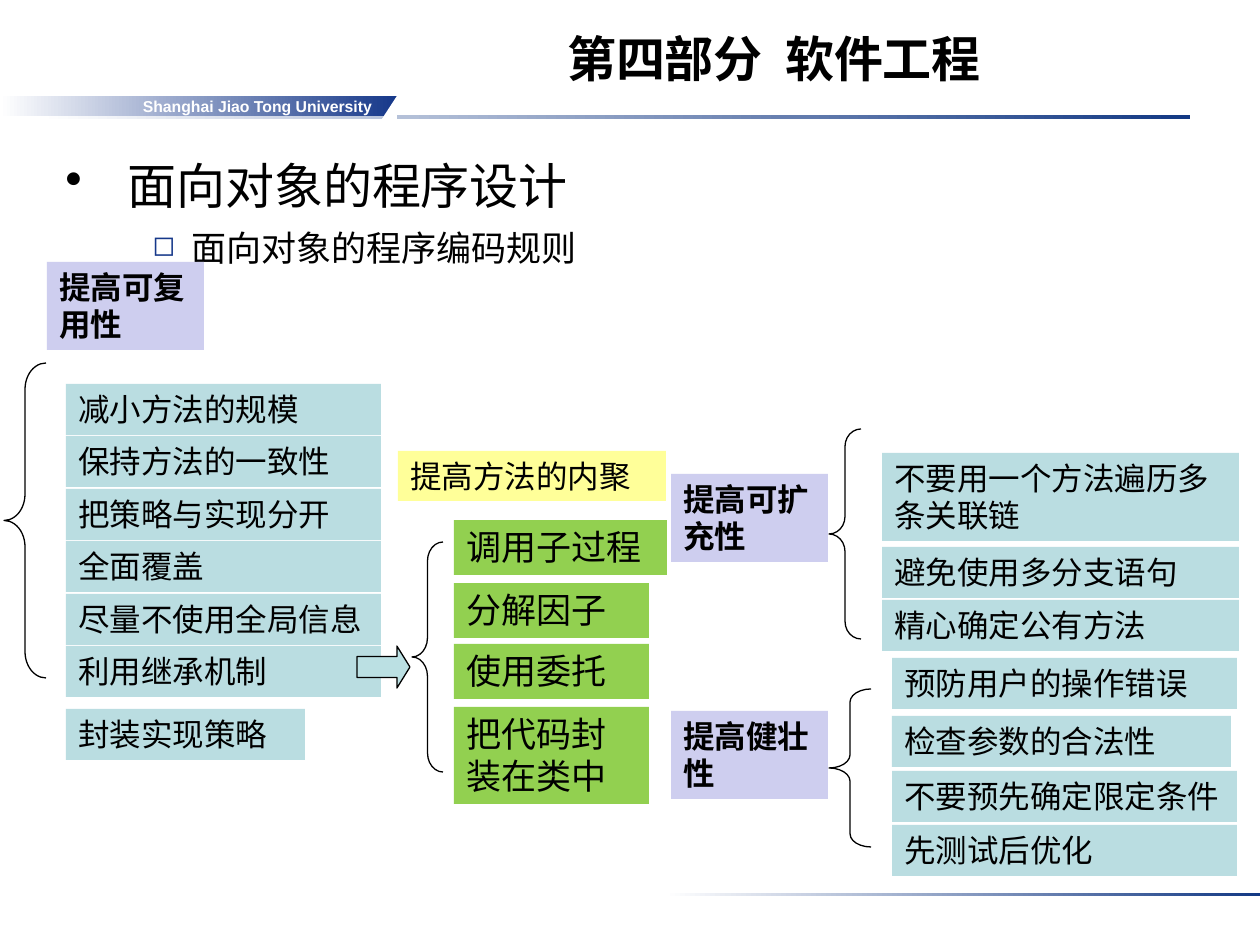
"""Builds the slide on object-oriented coding rules in software engineering."""
from typing import NamedTuple

from pptx import Presentation
from pptx import util as u
from pptx.dml.color import RGBColor
from pptx.enum import shapes, text
from pptx.oxml.ns import qn
from pptx.oxml.xmlchemy import OxmlElement

PX = 914400 / 126
LINE_HEIGHT = 1.19
LATIN, CJK = "Arial", "Noto Sans CJK SC"
BLACK = RGBColor(0x00, 0x00, 0x00)
WHITE = RGBColor(0xFF, 0xFF, 0xFF)
RULE_BLUE = RGBColor(0x13, 0x39, 0x84)
BANNER_BLUE = RGBColor(0x16, 0x38, 0x8A)
LILAC = RGBColor(0xCE, 0xCE, 0xEF)
YELLOW = RGBColor(0xFF, 0xFF, 0x99)
TEAL = RGBColor(0xBA, 0xDD, 0xE1)
ARROW_TEAL = RGBColor(0xBB, 0xE0, 0xE3)
GREEN = RGBColor(0x92, 0xD0, 0x50)


class Area(NamedTuple):
    left: int
    top: int
    width: int
    height: int


class Card(NamedTuple):
    label: str
    area: Area
    color: RGBColor = TEAL
    size: int = 18
    bold: bool = False


class Bullet(NamedTuple):
    label: str
    size: int
    mark: str
    mark_color: RGBColor
    mark_percent: int
    margin: int
    hanging: int
    space_before: int


METHOD_RULES = ["减小方法的规模", "保持方法的一致性", "把策略与实现分开",
                "全面覆盖", "尽量不使用全局信息", "利用继承机制"]
CARDS = [
    Card("提高可复用性", Area(47, 262, 157, 88), LILAC, bold=True),
    Card("提高可扩充性", Area(671, 474, 157, 88), LILAC, bold=True),
    Card("提高健壮性", Area(671, 711, 157, 88), LILAC, bold=True),
    Card("提高方法的内聚", Area(398, 451, 268, 50), YELLOW),
    *[Card(rule, Area(66, 384 + round(52.4 * row), 315, 51))
      for row, rule in enumerate(METHOD_RULES)],
    Card("封装实现策略", Area(66, 709, 239, 51)),
    Card("调用子过程", Area(454, 520, 213, 55), GREEN, 20),
    Card("分解因子", Area(454, 583, 195, 55), GREEN, 20),
    Card("使用委托", Area(454, 644, 195, 55), GREEN, 20),
    Card("把代码封装在类中", Area(454, 707, 195, 97), GREEN, 20),
    Card("不要用一个方法遍历多条关联链", Area(882, 453, 357, 88)),
    Card("避免使用多分支语句", Area(882, 547, 357, 51)),
    Card("精心确定公有方法", Area(882, 600, 357, 51)),
    Card("预防用户的操作错误", Area(892, 658, 345, 51)),
    Card("检查参数的合法性", Area(892, 716, 339, 51)),
    Card("不要预先确定限定条件", Area(892, 771, 345, 51)),
    Card("先测试后优化", Area(892, 825, 345, 51)),
]
BRACES = [Area(4, 363, 42, 315), Area(412, 542, 31, 230),
          Area(829, 429, 32, 210), Area(829, 689, 42, 158)]
BULLETS = [
    Bullet("面向对象的程序设计", 28, "•", BLACK, 100, 62, 62, 0),
    Bullet("面向对象的程序编码规则", 20, "◻", BANNER_BLUE, 80, 126, 39, 5),
]


def emu(px: float) -> int:
    return round(px * PX)


def add_preset(slide, kind, area: Area, fill=None, line=None):
    shape = slide.shapes.add_shape(kind, *map(emu, area))
    shape.shadow.inherit = False
    if fill is None:
        shape.fill.background()
    else:
        shape.fill.solid()
        shape.fill.fore_color.rgb = fill
    if line is None:
        shape.line.fill.background()
    else:
        shape.line.color.rgb = line
        shape.line.width = u.Pt(0.75)
    return shape


def add_fading_bar(slide, area: Area, color: RGBColor):
    bar = add_preset(slide, shapes.MSO_SHAPE.RECTANGLE, area)
    bar.fill.gradient()
    bar.fill.gradient_angle = 0
    for stop, shade in zip(bar.fill.gradient_stops, (WHITE, color)):
        stop.color.rgb = shade
    return bar


def style(paragraph, size: int, face: str = CJK, color: RGBColor = BLACK,
          bold: bool = False, spacing: float = LINE_HEIGHT) -> None:
    paragraph.line_spacing = u.Pt(round(size * spacing, 1))
    font = paragraph.font
    font.size, font.bold, font.name = u.Pt(size), bold, face
    font.color.rgb = color
    east_asian = OxmlElement("a:ea")
    east_asian.set("typeface", CJK)
    paragraph._p.pPr.find(qn("a:defRPr")).find(qn("a:latin")).addnext(east_asian)


def write(shape, label: str, align, anchor):
    frame = shape.text_frame
    frame.word_wrap = True
    frame.vertical_anchor = anchor
    paragraph = frame.paragraphs[0]
    paragraph.text = label
    paragraph.alignment = align
    return paragraph


def add_card(slide, card: Card) -> None:
    box = add_preset(slide, shapes.MSO_SHAPE.RECTANGLE, card.area, card.color)
    paragraph = write(box, card.label, text.PP_ALIGN.LEFT, text.MSO_ANCHOR.TOP)
    style(paragraph, card.size, bold=card.bold)


def add_brace(slide, area: Area) -> None:
    brace = add_preset(slide, shapes.MSO_SHAPE.LEFT_BRACE, area, line=BLACK)
    brace.adjustments[0] = area.height / 12 / area.width


def mark_bullet(paragraph, bullet: Bullet) -> None:
    properties = paragraph._p.get_or_add_pPr()
    properties.set("marL", str(emu(bullet.margin)))
    properties.set("indent", str(-emu(bullet.hanging)))
    color = OxmlElement("a:buClr")
    rgb = OxmlElement("a:srgbClr")
    rgb.set("val", str(bullet.mark_color))
    color.append(rgb)
    size = OxmlElement("a:buSzPct")
    size.set("val", str(bullet.mark_percent * 1000))
    mark = OxmlElement("a:buChar")
    mark.set("char", bullet.mark)
    for part in (color, size, mark):
        properties.append(part)


def add_heading(slide) -> None:
    add_fading_bar(slide, Area(39, 115, 1151, 4), RULE_BLUE)
    add_fading_bar(slide, Area(665, 893, 595, 3), RULE_BLUE)
    banner = add_fading_bar(slide, Area(0, 96, 397, 20), BANNER_BLUE)
    banner.text_frame.margin_right = u.Inches(0.2)
    university = write(banner, "Shanghai Jiao Tong University",
                       text.PP_ALIGN.RIGHT, text.MSO_ANCHOR.MIDDLE)
    style(university, 9, LATIN, WHITE, True)
    corner = add_preset(slide, shapes.MSO_SHAPE.RIGHT_TRIANGLE,
                        Area(382, 96, 15, 23), WHITE)
    corner._element.spPr.xfrm.set("flipH", "1")
    title = slide.shapes.add_textbox(*map(emu, Area(326, 0, 896, 94)))
    heading = write(title, "第四部分  软件工程",
                    text.PP_ALIGN.CENTER, text.MSO_ANCHOR.BOTTOM)
    style(heading, 28, LATIN, bold=True)


def add_bullets(slide) -> None:
    body = slide.shapes.add_textbox(*map(emu, Area(53, 144, 1166, 718)))
    frame = body.text_frame
    frame.word_wrap = True
    for row, bullet in enumerate(BULLETS):
        paragraph = frame.add_paragraph() if row else frame.paragraphs[0]
        paragraph.text = bullet.label
        paragraph.level = row
        mark_bullet(paragraph, bullet)
        if bullet.space_before:
            paragraph.space_before = u.Pt(bullet.space_before)
        style(paragraph, bullet.size, spacing=LINE_HEIGHT * 1.1)


def main() -> None:
    deck = Presentation()
    deck.slide_width, deck.slide_height = u.Inches(10), u.Inches(7.5)
    slide = deck.slides.add_slide(deck.slide_layouts[6])
    add_heading(slide)
    add_bullets(slide)
    for card in CARDS:
        add_card(slide, card)
    for area in BRACES:
        add_brace(slide, area)
    arrow = add_preset(slide, shapes.MSO_SHAPE.RIGHT_ARROW,
                       Area(357, 646, 53, 42), ARROW_TEAL, BLACK)
    arrow.adjustments[1] = 0.31
    deck.save("out.pptx")


if __name__ == "__main__":
    main()
